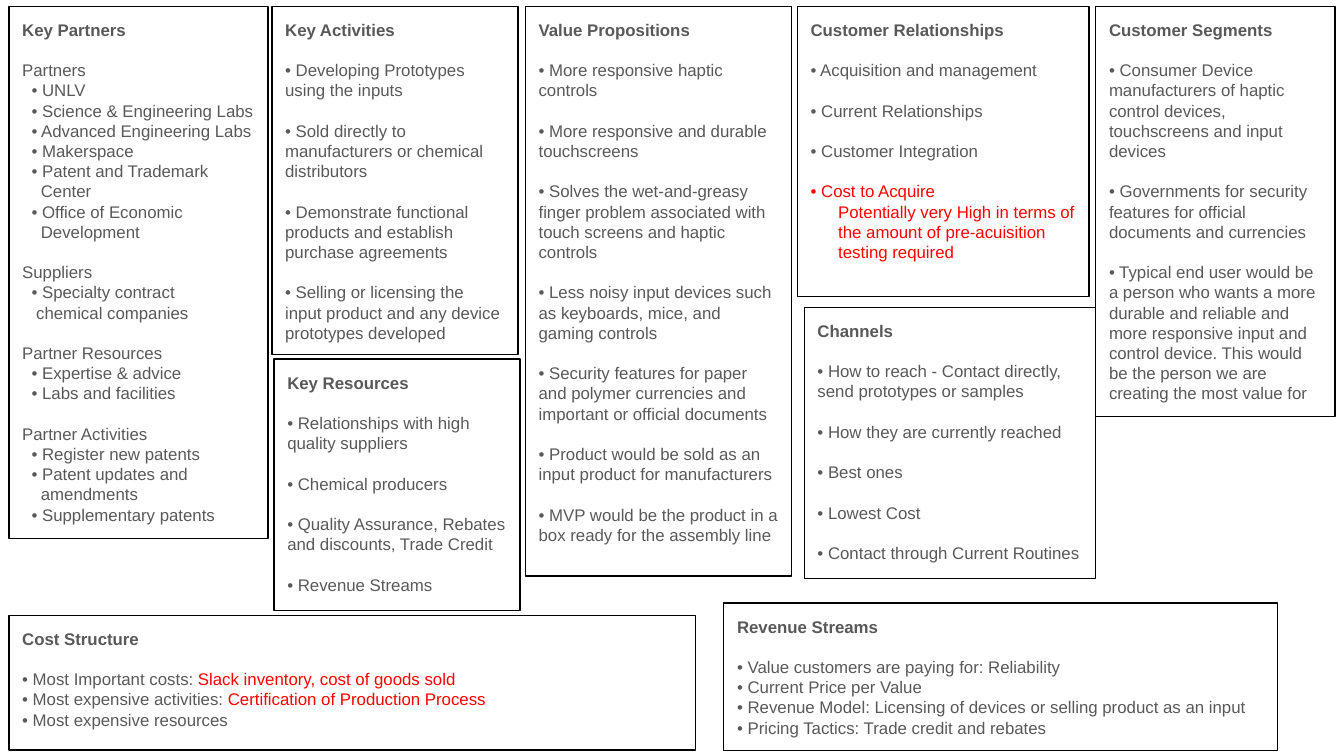
from pptx import Presentation
from pptx.dml.color import RGBColor
from pptx.enum.shapes import MSO_SHAPE as Shape
from pptx.enum.text import MSO_ANCHOR as Anchor, PP_ALIGN as Align
from pptx.util import Cm, Pt

FONT = "Arial"
GREY, RED, BLACK, WHITE = "595959", "FF0000", "000000", "FFFFFF"
FONT_SIZE = 9
LINE_SPACING = 1.0
GAP = 10.8
INSET = 0.25


def color(value):
    return RGBColor.from_string(value)


def write(paragraph, text, bold=False, fill=GREY):
    """Add text to a paragraph; each newline becomes a line break."""
    for index, part in enumerate(text.split("\n")):
        if index:
            paragraph.add_line_break()
        run = paragraph.add_run()
        run.text = part
        run.font.name = FONT
        run.font.size = Pt(FONT_SIZE)
        run.font.bold = bold
        run.font.color.rgb = color(fill)


def add_line(frame, text, gap=False, left=0, hang=0, highlight="", **style):
    """Add a paragraph whose wrapped lines start hang points after its first."""
    paragraph = frame.add_paragraph()
    format_paragraph(paragraph, GAP if gap else 0, left + hang, -hang)
    write(paragraph, text, **style)
    if highlight:
        write(paragraph, highlight, fill=RED)


def format_paragraph(paragraph, before=0, margin=0, indent=0):
    paragraph.alignment = Align.LEFT
    paragraph.line_spacing = LINE_SPACING
    paragraph.space_before = Pt(before)
    paragraph.space_after = Pt(0)
    properties = paragraph._p.get_or_add_pPr()
    properties.set("marL", str(Pt(margin)))
    properties.set("indent", str(Pt(indent)))


def add_box(slide, box, heading, fill=None):
    """Draw an outlined box with its heading and return its text frame."""
    shape = slide.shapes.add_shape(Shape.RECTANGLE, *map(Cm, box))
    shape.shadow.inherit = False
    if fill:
        shape.fill.solid()
        shape.fill.fore_color.rgb = color(fill)
    else:
        shape.fill.background()
    shape.line.color.rgb = color(BLACK)
    shape.line.width = Pt(0.75)
    frame = shape.text_frame
    frame.word_wrap = True
    frame.vertical_anchor = Anchor.TOP
    frame.margin_left = frame.margin_right = Cm(INSET)
    frame.margin_top = frame.margin_bottom = Cm(INSET)
    format_paragraph(frame.paragraphs[0])
    write(frame.paragraphs[0], heading, bold=True)
    return frame


def add_list(slide, box, heading, items, spaced=True):
    """Add a box of bulleted items, with a gap before each if spaced."""
    frame = add_box(slide, box, heading)
    for index, item in enumerate(items):
        add_line(frame, f"• {item}", gap=spaced or index == 0)
    return frame


def add_partners(slide, box):
    groups = {
        "Partners": [
            "UNLV", "Science & Engineering Labs", "Advanced Engineering Labs",
            "Makerspace", "Patent and Trademark\nCenter",
            "Office of Economic\nDevelopment"],
        "Suppliers": ["Specialty contract\nchemical companies"],
        "Partner Resources": ["Expertise & advice", "Labs and facilities"],
        "Partner Activities": [
            "Register new patents", "Patent updates and\namendments",
            "Supplementary patents"],
    }
    frame = add_box(slide, box, "Key Partners", fill=WHITE)
    for group, items in groups.items():
        add_line(frame, group, gap=True)
        for item in items:
            hang = 2.5 if group == "Suppliers" else 5
            add_line(frame, f"• {item}", left=5, hang=hang)


def add_relationships(slide, box):
    frame = add_list(slide, box, "Customer Relationships", [
        "Acquisition and management", "Current Relationships",
        "Customer Integration"])
    add_line(frame, "• Cost to Acquire\nPotentially very High in terms of\n"
             "the amount of pre-acuisition\ntesting required",
             gap=True, hang=14.8, fill=RED)


def add_costs(slide, box):
    frame = add_box(slide, box, "Cost Structure")
    add_line(frame, "• Most Important costs: ", gap=True,
             highlight="Slack inventory, cost of goods sold")
    add_line(frame, "• Most expensive activities: ",
             highlight="Certification of Production Process")
    add_line(frame, "• Most expensive resources")


def add_canvas(slide):
    top = 0.12
    left = 0.17
    add_partners(slide, (left, top, 4.9, 10.06))
    add_list(slide, (5.14, top, 4.65, 6.58), "Key Activities", [
        "Developing Prototypes using the inputs",
        "Sold directly to manufacturers or chemical distributors",
        "Demonstrate functional products and establish purchase agreements",
        "Selling or licensing the input product and any device prototypes "
        "developed"])
    add_list(slide, (5.18, 6.79, 4.65, 4.75), "Key Resources", [
        "Relationships with high quality suppliers",
        "Chemical producers",
        "Quality Assurance, Rebates and discounts, Trade Credit",
        "Revenue Streams"])
    add_list(slide, (9.93, top, 5.03, 10.77), "Value Propositions", [
        "More responsive haptic controls",
        "More responsive and durable touchscreens",
        "Solves the wet-and-greasy finger problem associated with touch "
        "screens and haptic controls",
        "Less noisy input devices such as keyboards, mice, and gaming controls",
        "Security features for paper and polymer currencies and important or "
        "official documents",
        "Product would be sold as an input product for manufacturers",
        "MVP would be the product in a box ready for the assembly line"])
    add_relationships(slide, (15.07, top, 5.51, 5.49))
    add_list(slide, (15.2, 5.81, 5.51, 5.13), "Channels", [
        "How to reach - Contact directly, send prototypes or samples",
        "How they are currently reached",
        "Best ones",
        "Lowest Cost",
        "Contact through Current Routines"])
    add_list(slide, (20.71, top, 4.52, 7.75), "Customer Segments", [
        "Consumer Device manufacturers of haptic control devices, touchscreens "
        "and input devices",
        "Governments for security features for official documents and "
        "currencies",
        "Typical end user would be a person who wants a more durable and "
        "reliable and more responsive input and control device. This would be "
        "the person we are creating the most value for"])
    add_costs(slide, (left, 11.63, 12.98, 2.55))
    add_list(slide, (13.68, 11.4, 10.46, 2.79), "Revenue Streams", [
        "Value customers are paying for: Reliability",
        "Current Price per Value",
        "Revenue Model: Licensing of devices or selling product as an input",
        "Pricing Tactics: Trade credit and rebates"], spaced=False)


def main():
    presentation = Presentation()
    presentation.slide_width = Cm(25.4)
    presentation.slide_height = Cm(14.29)
    blank_layout = presentation.slide_layouts[6]
    add_canvas(presentation.slides.add_slide(blank_layout))
    presentation.save("out.pptx")


if __name__ == "__main__":
    main()
